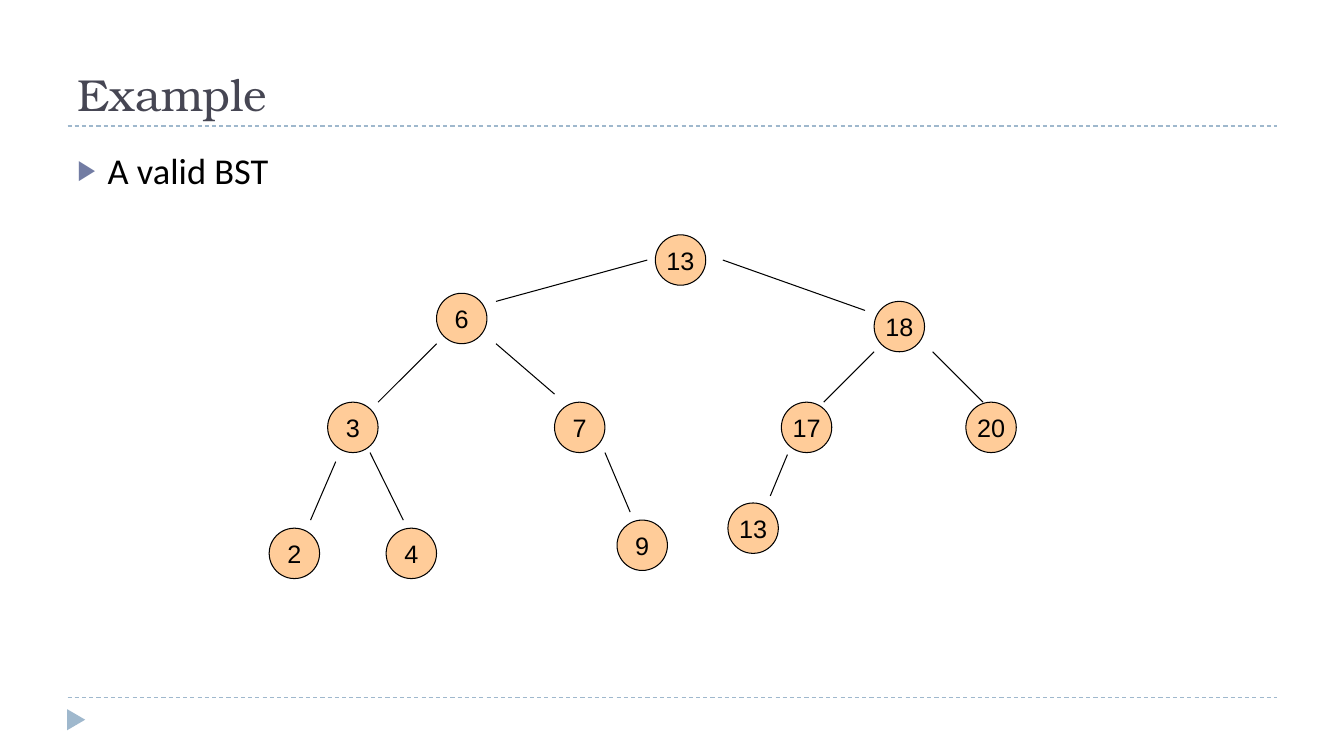
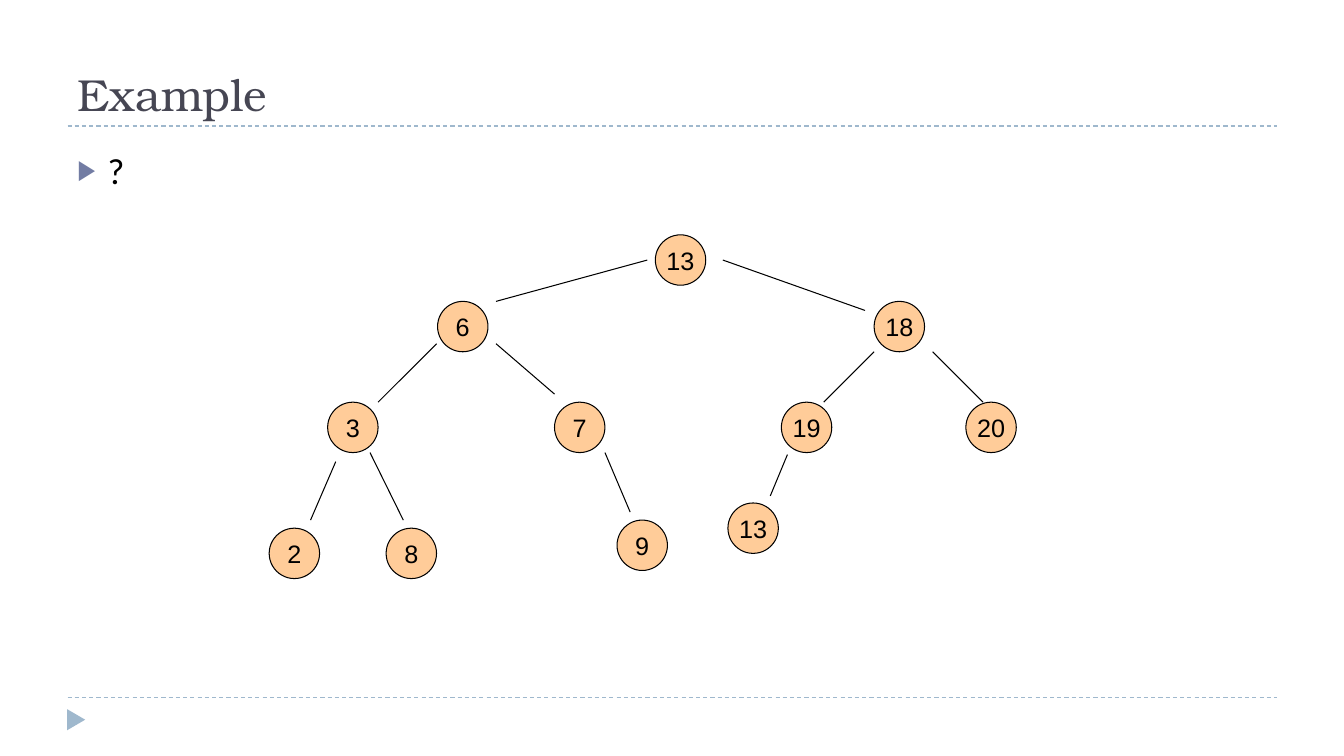
"""Build two slides that show binary search tree examples."""
from lxml import etree
from pptx import Presentation
from pptx.dml.color import RGBColor
from pptx.enum.dml import MSO_LINE
from pptx.enum.shapes import MSO_CONNECTOR, MSO_SHAPE
from pptx.enum.text import MSO_ANCHOR, MSO_AUTO_SIZE, PP_ALIGN
from pptx.oxml.ns import qn
from pptx.util import Inches, Pt

STRAIGHT = MSO_CONNECTOR.STRAIGHT
DASH = MSO_LINE.DASH
ELLIPSE = MSO_SHAPE.OVAL
TRIANGLE = MSO_SHAPE.ISOSCELES_TRIANGLE
TOP, MIDDLE, BOTTOM = MSO_ANCHOR.TOP, MSO_ANCHOR.MIDDLE, MSO_ANCHOR.BOTTOM
LEFT, CENTER = PP_ALIGN.LEFT, PP_ALIGN.CENTER
NO_AUTOFIT = MSO_AUTO_SIZE.NONE

COLORS = {
    "title": "464653",
    "rule": "9FB8CD",
    "bullet": "727CA3",
    "node": "FFCC99",
    "ink": "000000",
}
FONTS = {
    "title": {"name": "TeX Gyre Bonum", "size": Pt(32)},
    "body": {"name": "Calibri", "size": Pt(26)},
    "node": {"name": "Arial", "size": Pt(18)},
}
NODE_SIZE = 0.5
RULE_LEFT, RULE_RIGHT = 0.67, 12.67
RULE_TOPS = (6.92, 1.25)

NODE_PLACES = {
    "root": (6.5, 2.33),
    "right": (8.67, 2.99),
    "left-left": (3.25, 3.99),
    "left-left-left": (2.67, 5.24),
    "left": (4.33, 2.91),
    "left-left-right": (3.83, 5.24),
    "left-right": (5.5, 3.99),
    "right-left-left": (7.22, 4.99),
    "left-right-right": (6.12, 5.16),
    "right-left": (7.75, 3.99),
    "right-right": (9.58, 3.99),
}
NODE_LABELS = {
    "root": "13",
    "right": "18",
    "left-left": "3",
    "left-left-left": "2",
    "left": "6",
    "left-left-right": "4",
    "left-right": "7",
    "right-left-left": "13",
    "left-right-right": "9",
    "right-left": "17",
    "right-right": "20",
}
EDGES = (
    ((6.42, 2.58), (4.92, 2.99)),
    ((4.33, 3.41), (3.75, 3.99)),
    ((3.33, 4.58), (3.08, 5.16)),
    ((3.67, 4.49), (4, 5.16)),
    ((4.92, 3.41), (5.5, 3.91)),
    ((6, 4.49), (6.25, 5.08)),
    ((7.81, 4.51), (7.64, 4.92)),
    ((7.17, 2.58), (8.58, 3.08)),
    ((8.67, 3.49), (8.17, 3.99)),
    ((9.25, 3.49), (9.75, 3.99)),
)
SLIDES = (
    {"title": "Example", "bullet": "A valid BST", "places": {}, "labels": {}},
    {
        "title": "Example",
        "bullet": "?",
        "places": {"left": (4.34, 2.99)},
        "labels": {"left-left-right": "8", "right-left": "19"},
    },
)


def set_attributes(target, values):
    """Set every named value on the target."""
    for name, value in values.items():
        setattr(target, name, value)


class TreeDeck:
    """Hold the presentation, its style and the current slide."""

    def __init__(self):
        """Start an empty widescreen presentation."""
        self.presentation = Presentation()
        self.presentation.slide_width = Inches(13.33)
        self.presentation.slide_height = Inches(7.5)
        self.slide = None

    def add_slide(self, title):
        """Add a slide with the shared rules, marker and title."""
        layout = self.presentation.slide_layouts.get_by_name("Title Only")
        self.slide = self.presentation.slides.add_slide(layout)
        for top in RULE_TOPS:
            self.line((RULE_LEFT, top), (RULE_RIGHT, top), "rule", DASH)
        marker = self.shape(TRIANGLE, (0.65, 7.05, 0.21, 0.18), "rule")
        marker.line.fill.background()
        marker.rotation = 90
        self.title(title)

    def title(self, text):
        """Place and format the title."""
        placeholder = self.slide.shapes.title
        box = {"left": 0.67, "top": 0.17, "width": 12, "height": 1.08}
        set_attributes(placeholder, {name: Inches(value) for name, value in box.items()})
        self.text(placeholder, text, "title", "title", vertical_anchor=BOTTOM, word_wrap=True)

    def text(self, shape, text, font, color, alignment=LEFT, **frame_values):
        """Write one formatted paragraph into a shape and return it."""
        frame = shape.text_frame
        set_attributes(frame, {"auto_size": NO_AUTOFIT, **frame_values})
        paragraph = frame.paragraphs[0]
        paragraph.alignment = alignment
        run = paragraph.add_run()
        run.text = text
        set_attributes(run.font, FONTS[font])
        run.font.color.rgb = RGBColor.from_string(COLORS[color])
        return paragraph

    def bullet(self, text):
        """Add the bulleted statement under the title."""
        box = self.slide.shapes.add_textbox(*map(Inches, (0.67, 1.42, 10.48, 1.16)))
        paragraph = self.text(box, text, "body", "ink", vertical_anchor=TOP, word_wrap=True)
        properties = paragraph._p.get_or_add_pPr()
        properties.set("marL", str(Inches(0.3)))
        properties.set("indent", str(Inches(-0.3)))
        color = etree.SubElement(properties, qn("a:buClr"))
        etree.SubElement(color, qn("a:srgbClr"), val=COLORS["bullet"])
        etree.SubElement(properties, qn("a:buSzPct"), val="76000")
        etree.SubElement(properties, qn("a:buFont"), typeface="Arial")
        etree.SubElement(properties, qn("a:buChar"), char="▶")

    def shape(self, kind, box, color):
        """Add a filled preset shape."""
        shape = self.slide.shapes.add_shape(kind, *map(Inches, box))
        shape.shadow.inherit = False
        shape.fill.solid()
        shape.fill.fore_color.rgb = RGBColor.from_string(COLORS[color])
        return shape

    def node(self, place, label):
        """Add a labelled tree node."""
        circle = self.shape(ELLIPSE, (*place, NODE_SIZE, NODE_SIZE), "node")
        self.outline(circle.line, "ink")
        self.text(circle, label, "node", "ink", CENTER, vertical_anchor=MIDDLE, word_wrap=False)

    def outline(self, line, color):
        """Give a line its colour and width."""
        line.color.rgb = RGBColor.from_string(COLORS[color])
        line.width = Pt(0.75)

    def line(self, start, end, color, dash=None):
        """Add a straight line between two points."""
        connector = self.slide.shapes.add_connector(STRAIGHT, *map(Inches, (*start, *end)))
        self.outline(connector.line, color)
        if dash is not None:
            connector.line.dash_style = dash
        etree.SubElement(connector._element.spPr, qn("a:effectLst"))

    def tree(self, places, labels):
        """Draw the nodes and edges of a tree."""
        for name, place in places.items():
            self.node(place, labels[name])
        for start, end in EDGES:
            self.line(start, end, "ink")


def main():
    """Build and save the presentation."""
    deck = TreeDeck()
    for content in SLIDES:
        deck.add_slide(content["title"])
        deck.bullet(content["bullet"])
        deck.tree({**NODE_PLACES, **content["places"]}, {**NODE_LABELS, **content["labels"]})
    deck.presentation.save("out.pptx")


if __name__ == "__main__":
    main()
